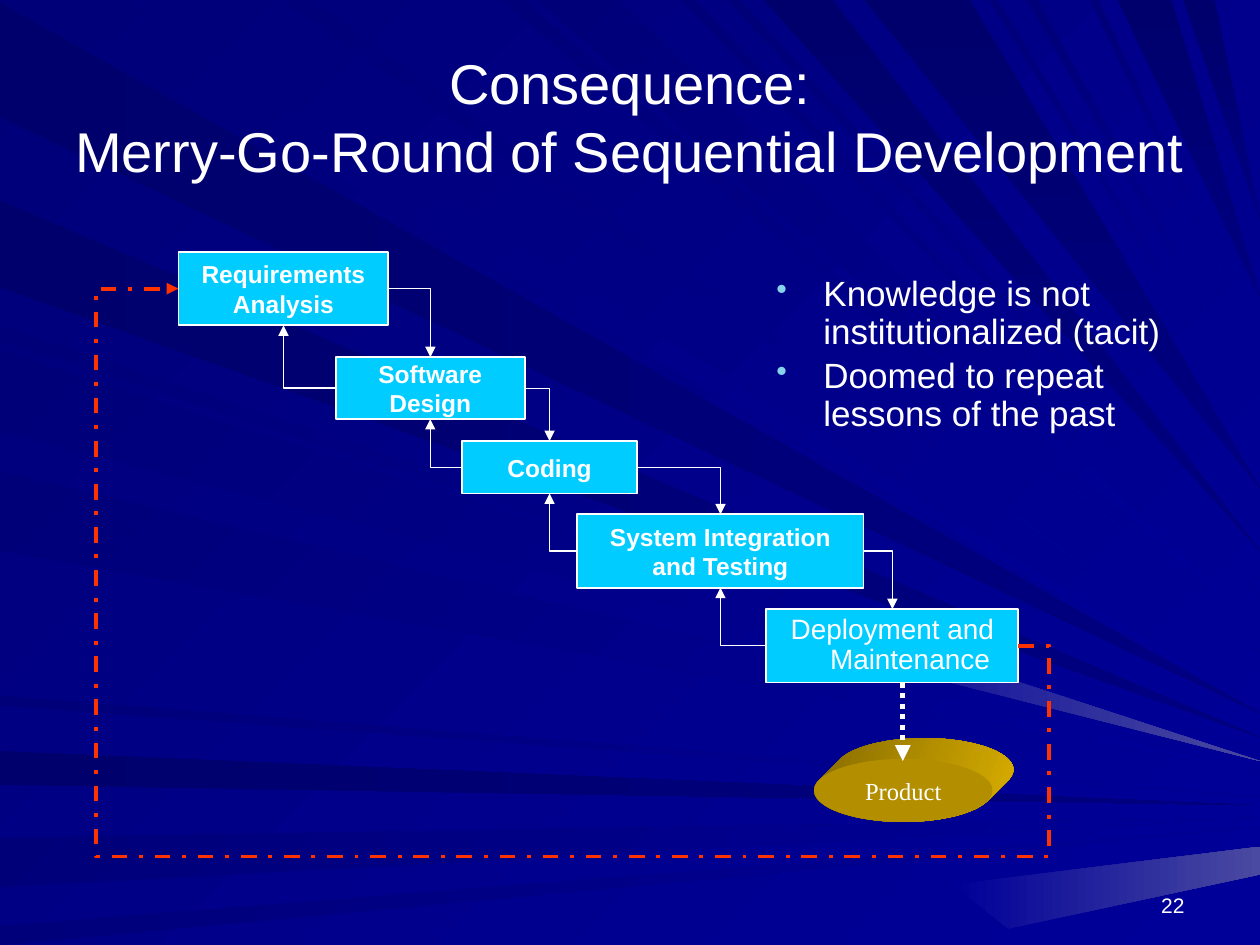
from math import cos, pi, sin, sqrt

from lxml.etree import SubElement
from pptx import Presentation
from pptx.dml.color import RGBColor
from pptx.enum.dml import MSO_LINE
from pptx.enum.shapes import MSO_CONNECTOR, MSO_SHAPE
from pptx.enum.text import MSO_ANCHOR, PP_ALIGN
from pptx.oxml.ns import qn
from pptx.util import Cm, Pt

WHITE = RGBColor.from_string("FFFFFF")
CYAN = RGBColor.from_string("00CCFF")
RED = RGBColor.from_string("FF3300")
BULLET = RGBColor.from_string("86D1EC")
GOLD = RGBColor.from_string("B38F00")
GOLD_DARK = RGBColor.from_string("866B00")
GOLD_LIGHT = RGBColor.from_string("D9AE00")
NAVY = RGBColor.from_string("000078")
DEEP = RGBColor.from_string("00006D")
DUSK = RGBColor.from_string("000080")
BLUE = RGBColor.from_string("000099")
GLOW = RGBColor.from_string("4A4AA1")

# Rays: start along the slide edge and width there, in tenths of the slide width.
LEFT_SOFT = [(2.58, 0.12), (2.78, 0.64), (3.74, 0.63), (5.52, 0.08), (6.65, 0.39), (7.35, 0.15)]
LEFT_DEEP = [(0.02, 0.91), (1.59, 0.69), (5.96, 0.27)]
TOP_SOFT = [(0.26, 0.75), (2.25, 0.22), (3.98, 0.18), (4.26, 0.66), (5.4, 0.12),
            (5.77, 0.11), (7.85, 0.07), (8.15, 0.09), (8.65, 0.07)]
TOP_DEEP = [(6.06, 0.55), (6.86, 0.84), (8.87, 0.43), (9.39, 0.25)]
GLOWS = [[(6.37, 4.85), (6.33, 5.11), (10, 6.04)],
         [(7.56, 7.02), (10, 6.72), (10, 6.94), (8, 7.37)]]

# Steps: text, then left, top, width and height in cm within the diagram.
STEPS = [
    ("Requirements\nAnalysis", 0, 0, 4.23, 1.48),
    ("Software\nDesign", 3.17, 2.12, 3.81, 1.25),
    ("Coding", 5.71, 3.81, 3.54, 1.06),
    ("System Integration\nand Testing", 8.04, 5.29, 5.77, 1.48),
    ("Deployment and\vMaintenance", 11.85, 7.2, 5.08, 1.48),
]
TOP, LEFT, BOTTOM, RIGHT = range(4)


def write(sp, text, size, font="Arial", bold=False, align=PP_ALIGN.CENTER,
          anchor=MSO_ANCHOR.MIDDLE, wrap=True, spacing=None, before=None, hang=0, bullet=False):
    tf = sp.text_frame
    tf.word_wrap, tf.vertical_anchor = wrap, anchor
    for i, line in enumerate(text.split("\n")):
        p = tf.add_paragraph() if i else tf.paragraphs[0]
        p.text = line
        p.alignment, p.line_spacing, p.space_before = align, spacing, before
        for r in p.runs:
            r.font.name, r.font.size, r.font.bold = font, Pt(size), bold
            r.font.color.rgb = WHITE
        for br in p._p.findall(qn("a:br")):
            SubElement(br, qn("a:rPr"), sz=str(size * 100))
        pPr = p._p.get_or_add_pPr()
        if hang:
            pPr.set("marL", str(Cm(hang)))
            pPr.set("indent", str(-Cm(hang)))
        if bullet:
            SubElement(SubElement(pPr, qn("a:buClr")), qn("a:srgbClr"), val=str(BULLET))
            SubElement(pPr, qn("a:buSzPct"), val="90000")
            SubElement(pPr, qn("a:buChar"), char="•")


def add_text(s, box, text, size, **fmt):
    write(s.shapes.add_textbox(*map(Cm, box)), text, size, **fmt)


def paint(fill, first, last, angle):
    """Fill with a clockwise gradient."""
    fill.gradient()
    fill.gradient_angle = -angle % 360
    for stop, color in zip(fill.gradient_stops, (first, last)):
        stop.color.rgb = color


def add_polygon(s, points, first, last, angle):
    """Draw a closed outline through points given in cm."""
    (x, y), *rest = [(Cm(a), Cm(b)) for a, b in points]
    builder = s.shapes.build_freeform(x, y)
    builder.add_line_segments(rest, close=True)
    sp = builder.convert_to_shape()
    sp.shadow.inherit = False
    sp.line.fill.background()
    paint(sp.fill, first, last, angle)


def add_block(s, kind, box, color, outline=None):
    sp = s.shapes.add_shape(kind, *map(Cm, box))
    sp.shadow.inherit = False
    sp.fill.solid()
    sp.fill.fore_color.rgb = color
    if outline is None:
        sp.line.fill.background()
    else:
        sp.line.color.rgb, sp.line.width = outline, Pt(1)
    return sp


def style_arrow(cxn, color, width, dash=None):
    cxn.line.color.rgb, cxn.line.width = color, Pt(width)
    if dash is not None:
        cxn.line.dash_style = dash
    SubElement(cxn._element.spPr.find(qn("a:ln")), qn("a:tailEnd"), type="triangle")
    SubElement(cxn._element.spPr, qn("a:effectLst"))


def connect(s, source, source_side, target, target_side, color=WHITE, width=0.75,
            dash=None, bends=2, adjust=()):
    """Join two blocks by a bent arrow; adjust holds the bends in 1/100000."""
    cxn = s.shapes.add_connector(MSO_CONNECTOR.ELBOW, 0, 0, 0, 0)
    cxn.begin_connect(source, source_side)
    cxn.end_connect(target, target_side)
    geom = cxn._element.spPr.find(qn("a:prstGeom"))
    geom.set("prst", f"bentConnector{bends}")
    for i, value in enumerate(adjust, 1):
        SubElement(geom.find(qn("a:avLst")), qn("a:gd"), name=f"adj{i}", fmla=f"val {value}")
    style_arrow(cxn, color, width, dash)


def left_ray(start, width):
    return [(0, start), (0, start + width), (10, 5.6 + 0.13 * (start + width / 2))]


def top_ray(start, width):
    """The tips of the rays from the top edge follow an ellipse."""
    middle = (start + width / 2) / 10
    return [(start, 0), (start + width, 0), (10, 5.65 * sqrt(1 - middle ** 2))]


def draw_background(s, width):
    paint(s.background.fill, NAVY, BLUE, 45)
    rays = [(left_ray(*r), DEEP, DUSK, 0) for r in LEFT_DEEP]
    rays += [(top_ray(*r), NAVY, BLUE, 45) for r in TOP_SOFT]
    rays += [(left_ray(*r), NAVY, BLUE, 45) for r in LEFT_SOFT]
    rays += [(top_ray(*r), DEEP, DUSK, 90) for r in TOP_DEEP]
    rays += [(points, BLUE, GLOW, 0) for points in GLOWS]
    unit = width / 10
    for points, first, last, angle in rays:
        add_polygon(s, [(x * unit, y * unit) for x, y in points], first, last, angle)


def draw_product(s, left, top, width, height, depth):
    """Draw an ellipse extruded up and to the right by depth."""
    rx, ry = width / 2, height / 2
    outline = []
    for i in range(120):
        c, n = cos(i * pi / 60), sin(i * pi / 60)
        shift = depth if c / rx > n / ry else 0
        outline.append((left + rx + rx * c + shift, top + ry + ry * n - shift))
    add_polygon(s, outline, GOLD_DARK, GOLD_LIGHT, 20)
    sp = add_block(s, MSO_SHAPE.OVAL, (left, top, width, height), GOLD)
    write(sp, "Product", 14, font="Times New Roman", wrap=False)


def draw_diagram(s, left, top):
    blocks = []
    for text, x, y, w, h in STEPS:
        sp = add_block(s, MSO_SHAPE.RECTANGLE, (left + x, top + y, w, h), CYAN, WHITE)
        blocks.append(sp)
        if text != STEPS[-1][0]:
            write(sp, text, 14, bold=True, wrap=False)
    tf = sp.text_frame
    tf.margin_left = tf.margin_top = tf.margin_right = tf.margin_bottom = 0
    write(sp, text, 16, spacing=0.9, hang=0.71)
    for upper, lower in zip(blocks, blocks[1:]):
        connect(s, upper, RIGHT, lower, TOP)
        connect(s, lower, LEFT, upper, BOTTOM)
    draw_product(s, left + 12.81, top + 10.22, 3.6, 1.27, 0.42)
    x = Cm(left + 14.6)
    arrow = s.shapes.add_connector(MSO_CONNECTOR.STRAIGHT, x, Cm(top + 8.68), x, Cm(top + 10.26))
    style_arrow(arrow, WHITE, 3, MSO_LINE.ROUND_DOT)
    connect(s, blocks[-1], RIGHT, blocks[0], LEFT, RED, 2.25, MSO_LINE.DASH_DOT,
            bends=5, adjust=(-3700, -59000, 109800))


def main():
    prs = Presentation()
    prs.slide_width, prs.slide_height = Cm(25.4), Cm(19.05)
    s = prs.slides.add_slide(prs.slide_layouts[6])
    draw_background(s, 25.4)
    add_text(s, (0.85, 0.18, 23.7, 4.32),
             "Consequence:\vMerry-Go-Round of Sequential Development", 32)
    add_text(s, (15.4, 5.44, 8.74, 3.53),
             "Knowledge is not institutionalized (tacit)\nDoomed to repeat lessons of the past", 20,
             align=PP_ALIGN.LEFT, anchor=MSO_ANCHOR.TOP, spacing=0.9, before=Pt(4),
             hang=0.95, bullet=True)
    add_text(s, (18.2, 17.35, 5.93, 1.27), "22", 12, align=PP_ALIGN.RIGHT, anchor=MSO_ANCHOR.BOTTOM)
    draw_diagram(s, 3.6, 5.08)
    prs.save("out.pptx")


if __name__ == "__main__":
    main()
